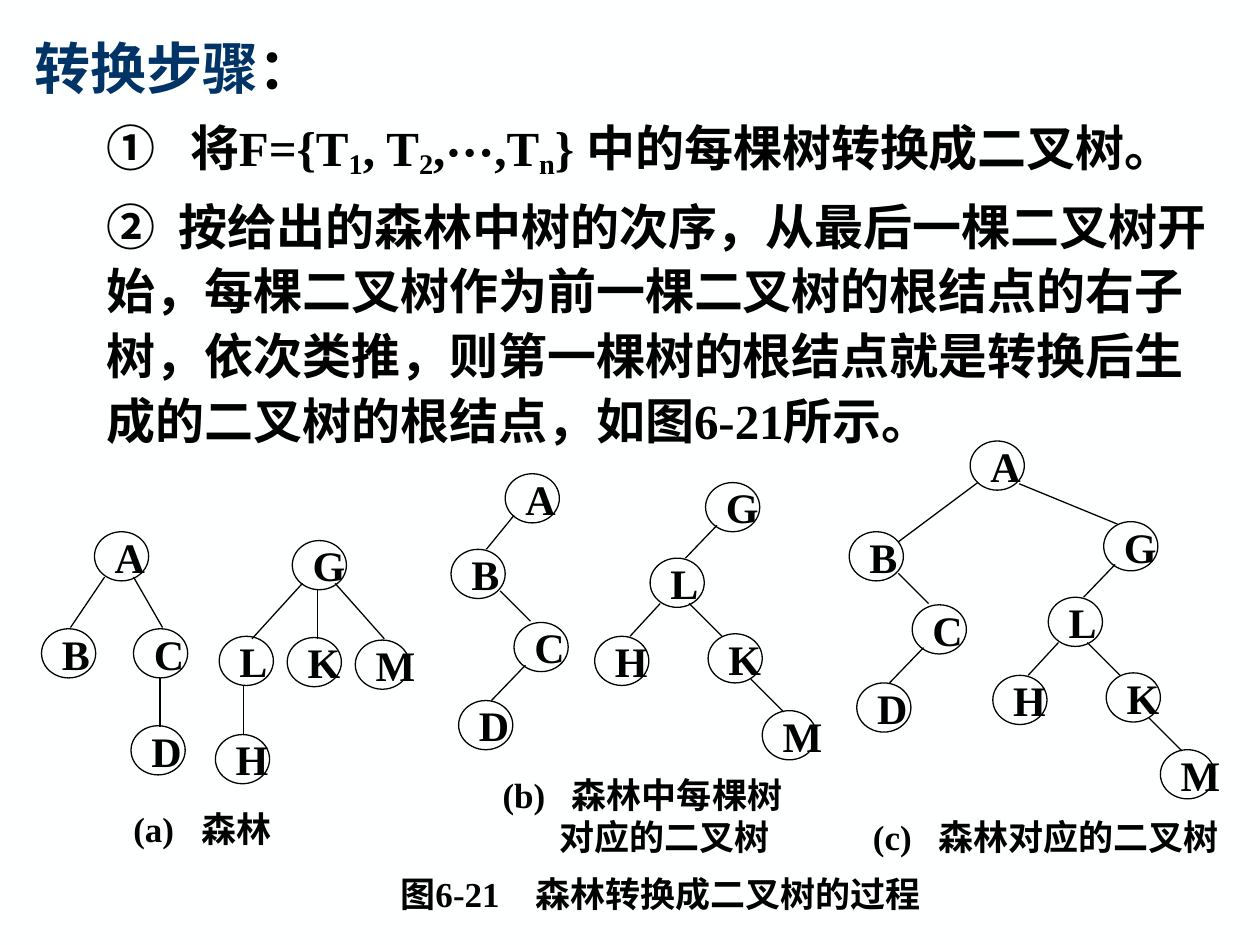
from lxml import etree
from pptx import Presentation
from pptx.dml.color import RGBColor
from pptx.enum.shapes import MSO_CONNECTOR, MSO_SHAPE
from pptx.enum.text import MSO_ANCHOR, PP_ALIGN
from pptx.oxml.ns import qn
from pptx.util import Inches, Pt

ELLIPSE = MSO_SHAPE.OVAL
STRAIGHT = MSO_CONNECTOR.STRAIGHT
LEFT = PP_ALIGN.LEFT
TOP, MIDDLE = MSO_ANCHOR.TOP, MSO_ANCHOR.MIDDLE
TITLE_ONLY = 5

COLORS = {"background": "FEFFFF", "heading": "003366", "ink": "000000"}
FONT = "Times New Roman"
NODE_WIDTH, NODE_HEIGHT = 0.43, 0.39


def format_paragraph(paragraph, size, tab=None, color="ink"):
    """Left-align in bold, with an optional tab stop in inches."""
    paragraph.alignment = LEFT
    if tab:
        tab_list = etree.SubElement(paragraph._p.get_or_add_pPr(), qn("a:tabLst"))
        etree.SubElement(tab_list, qn("a:tab"), pos=str(Inches(tab)), algn="l")
    font = paragraph.font
    font.name, font.size, font.bold = FONT, Pt(size), True
    font.color.rgb = RGBColor.from_string(COLORS[color])


def draw_tree(nodes, edges, dx=0, dy=0):
    """Draw lettered circles and their branches, shifted by dx and dy inches."""
    for letter, (left, top) in nodes.items():
        node = slide.shapes.add_shape(
            ELLIPSE, Inches(left + dx), Inches(top + dy),
            Inches(NODE_WIDTH), Inches(NODE_HEIGHT))
        node.shadow.inherit = False
        node.fill.background()
        node.line.color.rgb = RGBColor.from_string(COLORS["ink"])
        node.line.width = Pt(0.75)
        frame = node.text_frame
        frame.word_wrap = False
        frame.vertical_anchor = MIDDLE
        frame.text = letter
        format_paragraph(frame.paragraphs[0], 24)
    for x1, y1, x2, y2 in edges:
        branch = slide.shapes.add_connector(
            STRAIGHT, Inches(x1 + dx), Inches(y1 + dy),
            Inches(x2 + dx), Inches(y2 + dy))
        branch.line.color.rgb = RGBColor.from_string(COLORS["ink"])
        branch.line.width = Pt(0.75)
        etree.SubElement(branch._element.spPr, qn("a:effectLst"))


presentation = Presentation()
presentation.slide_width, presentation.slide_height = Inches(10), Inches(7.5)
slide = presentation.slides.add_slide(presentation.slide_layouts[TITLE_ONLY])
slide.background.fill.solid()
slide.background.fill.fore_color.rgb = RGBColor.from_string(COLORS["background"])

# Heading
title = slide.shapes.title
title.left, title.top = Inches(0.17), Inches(0.18)
title.width, title.height = Inches(9.67), Inches(0.7)
title.text_frame.vertical_anchor = MIDDLE
heading = title.text_frame.paragraphs[0]
heading.add_run().text = "转换步骤"
colon = heading.add_run()
colon.text = "："
format_paragraph(heading, 32, color="heading")
colon.font.color.rgb = RGBColor.from_string(COLORS["ink"])

# Conversion steps: runs of (text, is subscript)
steps = [
    (0.66, [("①\t将F={T", False), ("1", True), (", T", False), ("2", True),
            (",⋯,T", False), ("n", True), ("} 中的每棵树转换成二叉树。", False)]),
    (0.57, [("②\t按给出的森林中树的次序，从最后一棵二叉树开始，每棵二叉树作为"
             "前一棵二叉树的根结点的右子树，依次类推，则第一棵树的根结点就是"
             "转换后生成的二叉树的根结点，如图6-21所示。", False)]),
]
steps_box = slide.shapes.add_textbox(
    Inches(0.75), Inches(0.83), Inches(9.09), Inches(2.77))
steps_frame = steps_box.text_frame
steps_frame.word_wrap = True
steps_frame.vertical_anchor = TOP
for index, (tab, runs) in enumerate(steps):
    paragraph = steps_frame.add_paragraph() if index else steps_frame.paragraphs[0]
    paragraph.line_spacing = 1.1
    if index:
        paragraph.space_before = Pt(5.6)
    format_paragraph(paragraph, 28, tab)
    for text, is_subscript in runs:
        run = paragraph.add_run()
        run.text = text
        if is_subscript:
            run._r.get_or_add_rPr().set("baseline", "-18000")

# (a) The forest
draw_tree({"A": (0.75, 4.22), "B": (0.33, 4.99), "C": (1.06, 4.99), "D": (1.04, 5.76)},
          [(0.83, 4.58, 0.56, 4.98), (1.06, 4.58, 1.29, 4.98), (1.27, 5.38, 1.27, 5.77)])
draw_tree({"G": (2.32, 4.29), "L": (1.74, 5.05), "K": (2.28, 5.06),
           "M": (2.82, 5.08), "H": (1.71, 5.83)},
          [(2.4, 4.63, 2, 5.07), (2.52, 4.68, 2.52, 5.07),
           (2.66, 4.63, 3.05, 5.07), (1.93, 5.44, 1.93, 5.83)])

# (b) The separate binary trees; (c) the same parts joined under one root
left_part = ({"B": (3.58, 4.36), "C": (4.08, 4.94), "D": (3.64, 5.56)},
             [(3.97, 4.69, 4.21, 4.93), (4.17, 5.28, 3.9, 5.56)])
right_part = ({"G": (5.6, 3.83), "L": (5.16, 4.43), "H": (4.72, 5.05),
               "K": (5.62, 5.03), "M": (6.05, 5.64)},
              [(5.69, 4.17, 5.44, 4.43), (5.24, 4.79, 5, 5.05),
               (5.47, 4.79, 5.73, 5.05), (5.96, 5.39, 6.22, 5.65)])
draw_tree({"A": (4.01, 3.76)}, [(4.08, 4.09, 3.86, 4.36)])
draw_tree(*left_part)
draw_tree(*right_part)
draw_tree({"A": (7.7, 3.5)}, [(7.76, 3.83, 7.13, 4.3), (8.09, 3.84, 8.87, 4.16)])
draw_tree(*left_part, dx=3.16, dy=-0.14)
draw_tree(*right_part, dx=3.16, dy=0.31)

# Captions: left, top, width, height, tab stop, lines
captions = [
    (0.96, 6.38, 1.4, 0.39, 0.54, ["(a)\t森林"]),
    (3.89, 6.12, 2.7, 0.71, 0.55, ["(b)\t森林中每棵树", "对应的二叉树"]),
    (6.83, 6.44, 3.15, 0.39, 0.52, ["(c)\t森林对应的二叉树"]),
    (3.08, 6.9, 4.6, 0.39, 1.07, ["图6-21\t森林转换成二叉树的过程"]),
]
for left, top, width, height, tab, lines in captions:
    caption = slide.shapes.add_textbox(
        Inches(left), Inches(top), Inches(width), Inches(height))
    frame = caption.text_frame
    frame.word_wrap = True
    frame.vertical_anchor = MIDDLE
    frame.text = "\n".join(lines)
    for index, paragraph in enumerate(frame.paragraphs):
        format_paragraph(paragraph, 20, tab)
        if index:
            paragraph._p.get_or_add_pPr().set("marL", str(Inches(0.45)))

presentation.save("out.pptx")
